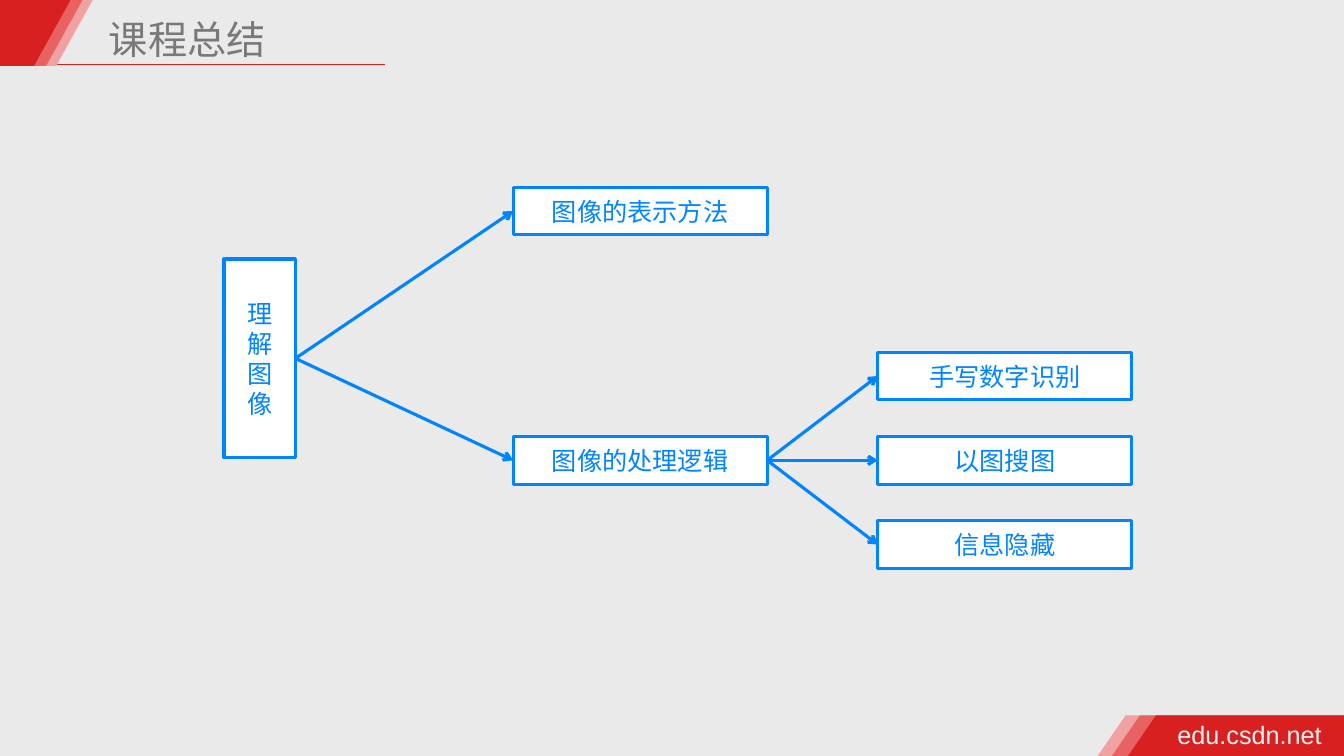
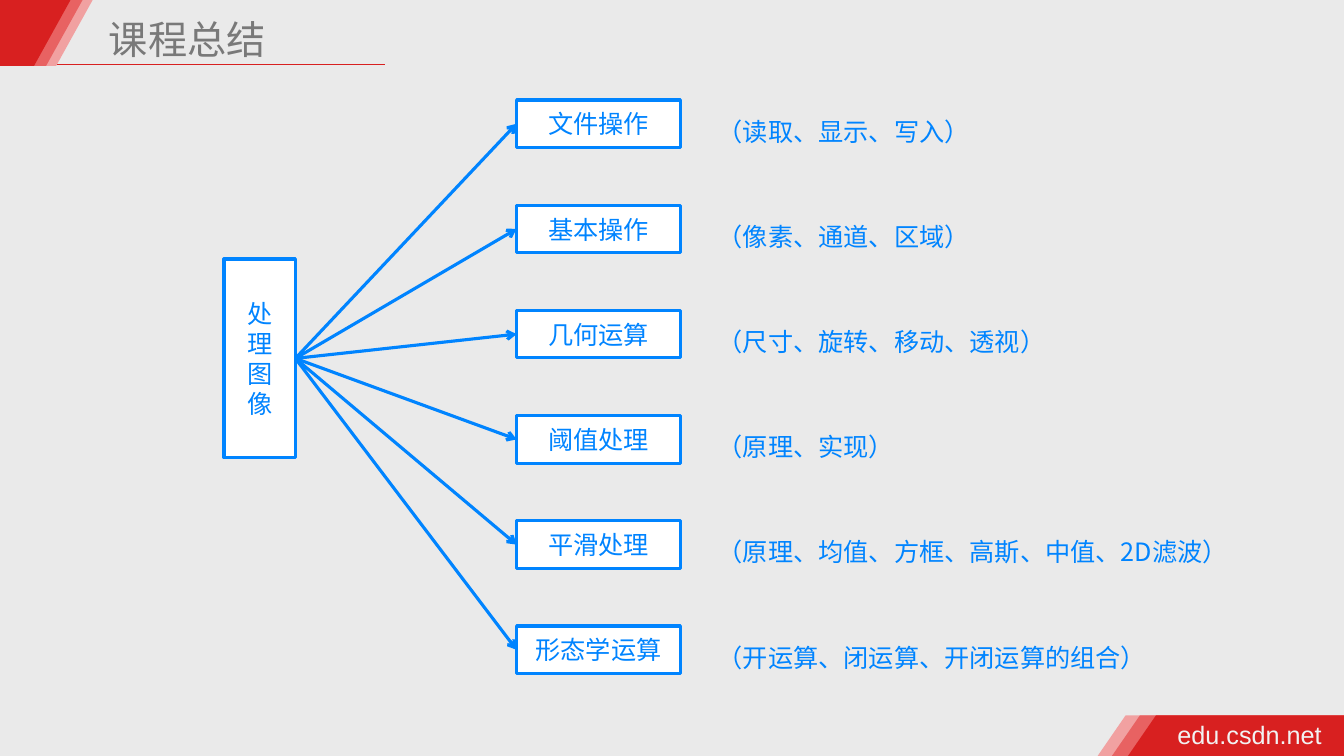
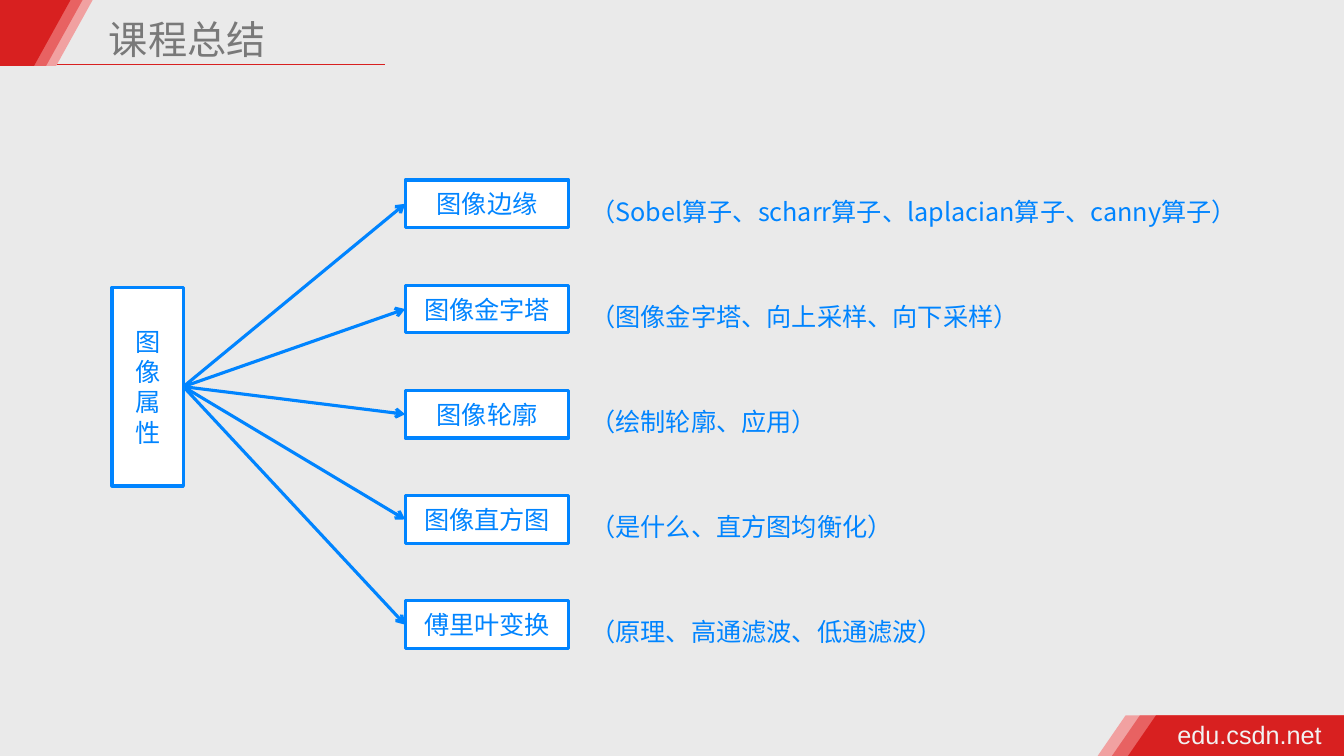
from lxml.etree import SubElement
from pptx import Presentation
from pptx.dml.color import RGBColor
from pptx.enum.shapes import MSO_CONNECTOR, MSO_SHAPE
from pptx.enum.text import MSO_ANCHOR, PP_ALIGN
from pptx.oxml.ns import qn
from pptx.util import Pt

WIDE, HIGH = 960, 540
INK = {
    "back": "EAEAEA", "red": "D82020", "rose": "E86262", "pink": "F1A1A1",
    "title": "797979", "blue": "0084FF", "white": "FFFFFF", "foot": "F2F2F2",
}
HAN, LATIN = "Noto Sans CJK SC", "Arial"
LEFT, RIGHT = 1, 3  # connection sites of a rectangle
BOX = 34            # height of a topic box
STEP = 75.15        # distance between topic rows


def rgb(name):
    return RGBColor.from_string(INK[name])


def write(shape, lines, color, size=18, face=HAN, align=PP_ALIGN.LEFT,
          anchor=MSO_ANCHOR.TOP, space=1.0):
    """Fill a shape with one paragraph per line."""
    frame = shape.text_frame
    frame.word_wrap = True
    frame.vertical_anchor = anchor
    frame.margin_left = frame.margin_right = Pt(3.6)
    frame.margin_top = frame.margin_bottom = Pt(3.6)
    for i, line in enumerate(lines):
        para = frame.add_paragraph() if i else frame.paragraphs[0]
        para.alignment = align
        para.line_spacing = space
        run = para.add_run()
        run.text = line
        run.font.size = Pt(size)
        run.font.name = face
        run.font.color.rgb = rgb(color)
        SubElement(run.font._element, qn("a:ea"), typeface=face)


def label(slide, x, y, w, h, text, color, **style):
    box = slide.shapes.add_textbox(Pt(x), Pt(y), Pt(w), Pt(h))
    write(box, [text], color, **style)


def node(slide, x, y, w, h, lines):
    box = slide.shapes.add_shape(MSO_SHAPE.RECTANGLE, Pt(x), Pt(y), Pt(w), Pt(h))
    box.shadow.inherit = False
    box.fill.solid()
    box.fill.fore_color.rgb = rgb("white")
    box.line.color.rgb = rgb("blue")
    box.line.width = Pt(2.25)
    write(box, lines, "blue", align=PP_ALIGN.CENTER, anchor=MSO_ANCHOR.MIDDLE)
    return box


def rule(slide, x1, y1, x2, y2, color, width):
    line = slide.shapes.add_connector(
        MSO_CONNECTOR.STRAIGHT, Pt(x1), Pt(y1), Pt(x2), Pt(y2))
    line.line.color.rgb = rgb(color)
    line.line.width = Pt(width)
    SubElement(line._element.spPr, qn("a:effectLst"))
    return line


def link(slide, start, end):
    """Draw an arrow from the right side of one node to the left of another."""
    line = rule(slide, 0, 0, 0, 0, "blue", 2.25)
    line.begin_connect(start, RIGHT)
    line.end_connect(end, LEFT)
    SubElement(line.line._get_or_add_ln(), qn("a:tailEnd"), type="arrow")


def band(slide, points, color):
    dots = [(Pt(x), Pt(y)) for x, y in points]
    pen = slide.shapes.build_freeform(*dots[0])
    pen.add_line_segments(dots[1:], close=True)
    shape = pen.convert_to_shape()
    shape.shadow.inherit = False
    shape.fill.solid()
    shape.fill.fore_color.rgb = rgb(color)
    shape.line.fill.background()


def page(deck, title):
    """Add a slide with the shared background, bands, footer and title."""
    slide = deck.slides.add_slide(deck.slide_layouts[6])
    slide.background.fill.solid()
    slide.background.fill.fore_color.rgb = rgb("back")
    rule(slide, 35.3, 46.2, 275, 46.2, "red", 1)
    for color, foot in (("pink", 784), ("rose", 794.2), ("red", 805.7)):
        band(slide, [(foot, HIGH), (foot + 20, 511), (WIDE, 511), (WIDE, HIGH)], color)
    label(slide, 837.4, 510, 118, 29, "edu.csdn.net", "foot", face=LATIN)
    for color, tip in (("pink", 66.2), ("rose", 59), ("red", 50.4)):
        band(slide, [(0, 0), (tip, 0), (tip - 26, 47), (0, 47)], color)
    label(slide, 74.2, 0.7, 222.5, 47, title, "title", size=28, space=1.2)
    return slide


def root(slide, x, y, text):
    """Draw the tall node, one character a line."""
    return node(slide, x, y, 51, 142, list(text))


def tree(slide, head, x, y, note_x, note_w, rows):
    """Draw one row per topic: node, arrow from head, and note."""
    for i, (topic, note) in enumerate(rows):
        top = y + i * STEP
        link(slide, head, node(slide, x, top, 117, BOX, [topic]))
        label(slide, note_x, top - 3, note_w, 40, note, "blue", space=1.5)


def grasp(slide):
    head = root(slide, 160, 185, "理解图像")
    form = node(slide, 366.5, 133.8, 181.5, BOX, ["图像的表示方法"])
    logic = node(slide, 366.5, 311.8, 181.5, BOX, ["图像的处理逻辑"])
    link(slide, head, form)
    link(slide, head, logic)
    for i, text in enumerate(("手写数字识别", "以图搜图", "信息隐藏")):
        link(slide, logic, node(slide, 627, 251.6 + i * 60.2, 181.5, BOX, [text]))


def main():
    deck = Presentation()
    deck.slide_width, deck.slide_height = Pt(WIDE), Pt(HIGH)
    title = "课程总结"

    grasp(page(deck, title))

    slide = page(deck, title)
    tree(slide, root(slide, 160, 185, "处理图像"), 369, 71.4, 509, 373, [
        ("文件操作", "（读取、显示、写入）"),
        ("基本操作", "（像素、通道、区域）"),
        ("几何运算", "（尺寸、旋转、移动、透视）"),
        ("阈值处理", "（原理、实现）"),
        ("平滑处理", "（原理、均值、方框、高斯、中值、2D滤波）"),
        ("形态学运算", "（开运算、闭运算、开闭运算的组合）"),
    ])

    slide = page(deck, title)
    tree(slide, root(slide, 80, 205.2, "图像属性"), 289.4, 128.6, 418, 472, [
        ("图像边缘", "（Sobel算子、scharr算子、laplacian算子、canny算子）"),
        ("图像金字塔", "（图像金字塔、向上采样、向下采样）"),
        ("图像轮廓", "（绘制轮廓、应用）"),
        ("图像直方图", "（是什么、直方图均衡化）"),
        ("傅里叶变换", "（原理、高通滤波、低通滤波）"),
    ])

    deck.save("out.pptx")


if __name__ == "__main__":
    main()
